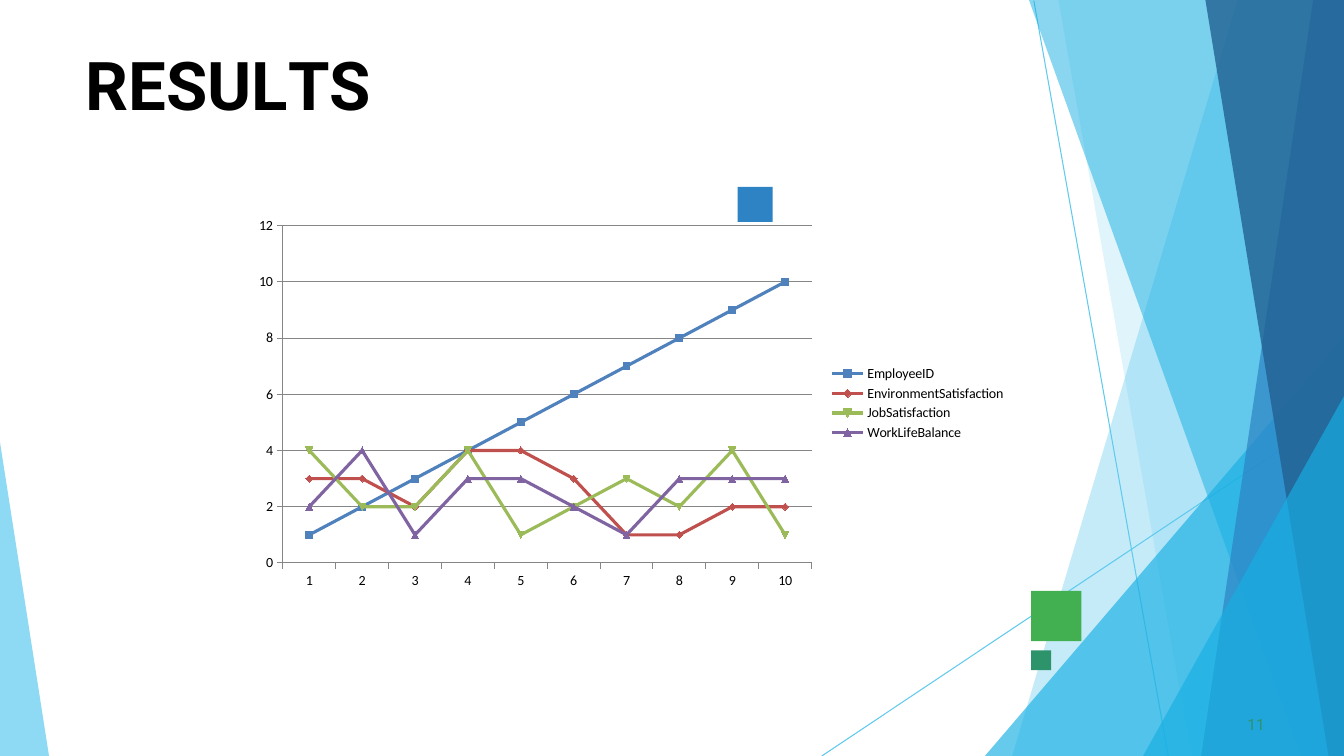
import pptx
import pptx.chart.data
import pptx.dml.color
import pptx.enum.chart
import pptx.enum.shapes
import pptx.oxml.ns
import pptx.oxml.xmlchemy
import pptx.util

Pt = pptx.util.Pt
qn = pptx.oxml.ns.qn
OxmlElement = pptx.oxml.xmlchemy.OxmlElement
WIDTH, HEIGHT = 960, 540

COLORS = {
    "sky": "5FCAEE", "cyan": "17AFE3", "blue": "2D83C3", "navy": "226192",
    "green": "42AF51", "teal": "2D936B", "black": "000000", "axis": "868686",
}

# Colour, opacity in percent, corner points
FACETS = [
    ("sky", 36, [(960, 0), (884, 0), (723, 540), (960, 540)]),
    ("sky", 20, [(960, 0), (756, 0), (851, 540), (960, 540)]),
    ("cyan", 66, [(960, 240), (703.5, 540), (960, 540)]),
    ("cyan", 50, [(960, 0), (735, 0), (929.5, 540), (960, 540)]),
    ("blue", 70, [(960, 0), (938, 0), (858, 540), (960, 540)]),
    ("navy", 80, [(960, 0), (861, 0), (949, 540), (960, 540)]),
    ("cyan", 66, [(960, 283), (816.5, 540), (960, 540)]),
    ("sky", 70, [(0, 316), (0, 540), (35, 540)]),
]

SERIES = [
    ("EmployeeID", "4F81BD", range(1, 11)),
    ("EnvironmentSatisfaction", "C0504D", [3, 3, 2, 4, 4, 3, 1, 1, 2, 2]),
    ("JobSatisfaction", "9BBB59", [4, 2, 2, 4, 1, 2, 3, 2, 4, 1]),
    ("WorkLifeBalance", "8064A2", [2, 4, 1, 3, 3, 2, 1, 3, 3, 3]),
]

# Letters with their tracking in points
TITLE = [("R", 0), ("E", -0.4), ("S", 0.1), ("U", -0.3), ("L", -4), ("TS", 0)]


def rgb(value):
    return pptx.dml.color.RGBColor.from_string(value)


def paint(sp, color, opacity=100):
    sp.shadow.inherit = False
    sp.fill.solid()
    sp.fill.fore_color.rgb = rgb(COLORS[color])
    sp.line.fill.background()
    if opacity < 100:
        clr = sp._element.spPr.find(qn("a:solidFill")).find(qn("a:srgbClr"))
        alpha = OxmlElement("a:alpha")
        alpha.set("val", str(opacity * 1000))
        clr.append(alpha)


def add_facet(s, color, opacity, points):
    builder = s.shapes.build_freeform(*[Pt(v) for v in points[0]])
    builder.add_line_segments([(Pt(x), Pt(y)) for x, y in points[1:]], close=True)
    paint(builder.convert_to_shape(), color, opacity)


def add_square(s, x, y, side, color):
    kind = pptx.enum.shapes.MSO_SHAPE.RECTANGLE
    paint(s.shapes.add_shape(kind, Pt(x), Pt(y), Pt(side), Pt(side)), color)


def add_line(s, x1, y1, x2, y2):
    kind = pptx.enum.shapes.MSO_CONNECTOR.STRAIGHT
    line = s.shapes.add_connector(kind, Pt(x1), Pt(y1), Pt(x2), Pt(y2))
    line.line.color.rgb = rgb(COLORS["sky"])
    line.line.width = Pt(0.75)
    line._element.spPr.append(OxmlElement("a:effectLst"))


def add_text(s, box, runs, size, color, bold=False, indent=1, before=0):
    """Add one line of text; runs are (text, tracking in points) pairs."""
    tf = s.shapes.add_textbox(*[Pt(v) for v in box]).text_frame
    tf.word_wrap = True
    tf.margin_left = tf.margin_right = tf.margin_bottom = 0
    tf.margin_top = Pt(1)
    p = tf.paragraphs[0]
    p.space_before = Pt(before)
    p._p.get_or_add_pPr().set("marL", str(Pt(indent)))
    for text, tracking in runs:
        r = p.add_run()
        r.text = text
        r.font.name = "Roboto"
        r.font.size = Pt(size)
        r.font.bold = bold
        r.font.color.rgb = rgb(COLORS[color])
        r._r.get_or_add_rPr().set("spc", str(round(tracking * 100)))


def style_axis_line(fmt):
    fmt.line.color.rgb = rgb(COLORS["axis"])
    fmt.line.width = Pt(0.75)


def add_results_chart(s, x, y, w, h):
    data = pptx.chart.data.CategoryChartData()
    data.categories = [str(n) for n in range(1, 11)]
    for name, _, values in SERIES:
        data.add_series(name, values)
    kind = pptx.enum.chart.XL_CHART_TYPE.LINE_MARKERS
    chart = s.shapes.add_chart(kind, Pt(x), Pt(y), Pt(w), Pt(h), data).chart
    chart.has_title = False
    chart.font.name = "Calibri"
    chart.font.size = Pt(10)
    chart.font.color.rgb = rgb(COLORS["black"])
    chart.has_legend = True
    chart.legend.position = pptx.enum.chart.XL_LEGEND_POSITION.RIGHT
    chart.legend.include_in_layout = False
    for axis in (chart.category_axis, chart.value_axis):
        axis.major_tick_mark = pptx.enum.chart.XL_TICK_MARK.OUTSIDE
        style_axis_line(axis.format)
    chart.value_axis.has_major_gridlines = True
    style_axis_line(chart.value_axis.major_gridlines.format)
    chart.plots[0].vary_by_categories = False
    for series, (_, color, _) in zip(chart.plots[0].series, SERIES):
        series.smooth = False
        series.format.line.color.rgb = rgb(color)
        series.format.line.width = Pt(2.25)


def main():
    prs = pptx.Presentation()
    prs.slide_width, prs.slide_height = Pt(WIDTH), Pt(HEIGHT)
    s = prs.slides.add_slide(prs.slide_layouts[6])

    add_line(s, 738.5, 0.5, 834.5, HEIGHT)
    add_line(s, WIDTH, 291, 587, HEIGHT)
    for facet in FACETS:
        add_facet(s, *facet)

    add_square(s, 736.5, 422, 36, "green")
    add_square(s, 527, 133.5, 25, "blue")
    add_square(s, 736.5, 464.5, 14.25, "teal")
    add_text(s, (60, 30, 841, 60), TITLE, 48, "black", bold=True, before=1.1)
    add_text(s, (888, 510, 18, 15), [("11", 0.1)], 11, "teal", indent=3, before=0.6)
    add_results_chart(s, 174, 150, 552, 276)

    prs.save("out.pptx")


if __name__ == "__main__":
    main()
